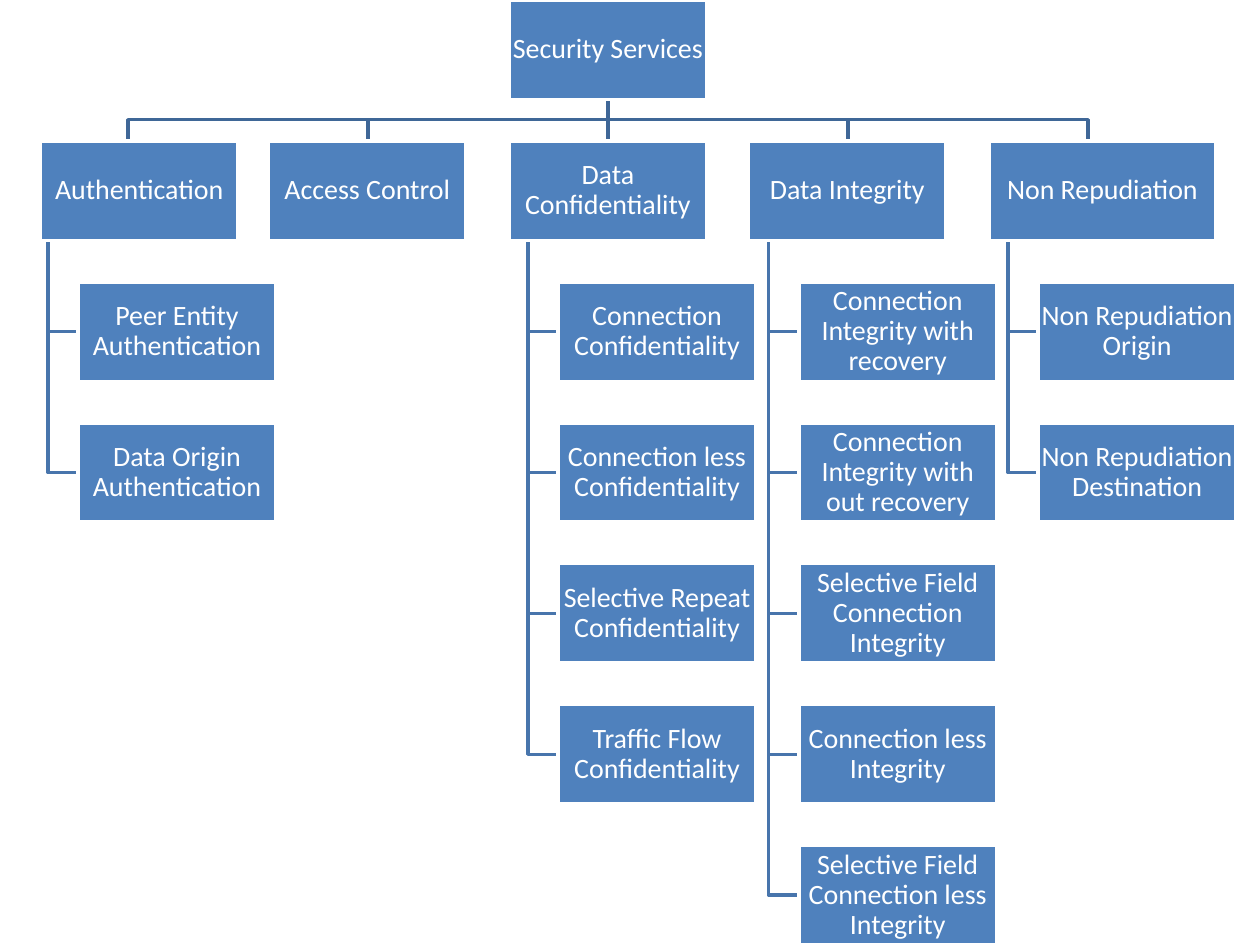
from pptx import Presentation
from pptx.dml.color import RGBColor
from pptx.enum.shapes import MSO_CONNECTOR, MSO_SHAPE
from pptx.enum.text import MSO_ANCHOR, PP_ALIGN
from pptx.oxml.ns import qn
from pptx.util import Inches, Pt
from lxml import etree

RECTANGLE = MSO_SHAPE.RECTANGLE
STRAIGHT = MSO_CONNECTOR.STRAIGHT
MIDDLE = MSO_ANCHOR.MIDDLE
CENTER = PP_ALIGN.CENTER

COLORS = {"box": "4F81BD", "text": "FFFFFF", "border": "FFFFFF",
          "service_line": "3F6797", "mechanism_line": "4875AC"}
BOX_WIDTH, BOX_HEIGHT = 1.57, 0.79
ROW_PITCH = (7.5 - BOX_HEIGHT) / 6
ROOT_LEFT = 4.04
ROOT_CENTER = ROOT_LEFT + BOX_WIDTH / 2
SERVICE_SPAN = 7.62
BUS_Y = 0.95
INDENT = 0.24

SERVICES = [
    ("Authentication", 0.32, BOX_WIDTH, 0.38,
     ["Peer Entity Authentication", "Data Origin Authentication"]),
    ("Access Control", 2.13, BOX_WIDTH, 2.29, []),
    ("Data Confidentiality", ROOT_LEFT, BOX_WIDTH, 4.19,
     ["Connection Confidentiality", "Connection less Confidentiality",
      "Selective Repeat Confidentiality", "Traffic Flow Confidentiality"]),
    ("Data Integrity", 5.94, BOX_WIDTH, 6.1,
     ["Connection Integrity with recovery",
      "Connection Integrity with out recovery",
      "Selective Field Connection Integrity",
      "Connection less Integrity",
      "Selective Field Connection less Integrity"]),
    ("Non Repudiation", 7.85, 1.8, 8.0,
     ["Non Repudiation Origin", "Non Repudiation Destination"]),
]
MIDDLE_COLUMN = len(SERVICES) // 2


def color(name):
    """Return the named palette colour."""
    return RGBColor.from_string(COLORS[name])


def style_line(line, name):
    """Give a line its palette colour and the common width."""
    line.color.rgb = color(name)
    line.width = Pt(2)


def add_branch(shapes, points, line_color):
    """Draw an open, bent branch through points given in inches."""
    start, *bends = [(Inches(x), Inches(y)) for x, y in points]
    builder = shapes.build_freeform(*start)
    builder.add_line_segments(bends, close=False)
    branch = builder.convert_to_shape()
    branch.fill.background()
    branch.shadow.inherit = False
    style_line(branch.line, line_color)


def add_stem(shapes):
    """Draw the straight line below the root box."""
    x = Inches(ROOT_CENTER)
    stem = shapes.add_connector(STRAIGHT, x, Inches(BOX_HEIGHT), x, Inches(ROW_PITCH))
    style_line(stem.line, "service_line")
    etree.SubElement(stem.element.spPr, qn("a:effectLst"))
    return stem


def add_box(shapes, label, left, row, width=BOX_WIDTH):
    """Add a labelled box in a row of the chart."""
    box = shapes.add_shape(RECTANGLE, Inches(left), Inches(row * ROW_PITCH),
                           Inches(width), Inches(BOX_HEIGHT))
    box.shadow.inherit = False
    box.fill.solid()
    box.fill.fore_color.rgb = color("box")
    style_line(box.line, "border")
    frame = box.text_frame
    frame.word_wrap = True
    frame.vertical_anchor = MIDDLE
    frame.margin_left = frame.margin_right = Inches(0.01)
    frame.margin_top = frame.margin_bottom = Inches(0.01)
    paragraph = frame.paragraphs[0]
    paragraph.alignment = CENTER
    paragraph.line_spacing = 0.9
    run = paragraph.add_run()
    run.text = label
    run.font.name = "Calibri"
    run.font.size = Pt(16)
    run.font.color.rgb = color("text")
    return box


def add_branches(shapes):
    """Draw the branches to every service and mechanism."""
    column_pitch = SERVICE_SPAN / (len(SERVICES) - 1)
    for column, (_, _, _, trunk, mechanisms) in enumerate(SERVICES):
        center = ROOT_CENTER + (column - MIDDLE_COLUMN) * column_pitch
        if column != MIDDLE_COLUMN:
            add_branch(shapes, [(ROOT_CENTER, BOX_HEIGHT), (ROOT_CENTER, BUS_Y),
                                (center, BUS_Y), (center, ROW_PITCH)], "service_line")
        for row in range(2, len(mechanisms) + 2):
            middle = row * ROW_PITCH + BOX_HEIGHT / 2
            add_branch(shapes, [(trunk, ROW_PITCH + BOX_HEIGHT), (trunk, middle),
                                (trunk + INDENT, middle)], "mechanism_line")


def main():
    """Build the security services chart and save it."""
    deck = Presentation()
    deck.slide_width, deck.slide_height = Inches(10), Inches(7.5)
    shapes = deck.slides.add_slide(deck.slide_layouts[6]).shapes
    add_branches(shapes)
    stem = add_stem(shapes)
    root = add_box(shapes, "Security Services", ROOT_LEFT, 0)
    service_boxes = []
    for service, left, width, trunk, mechanisms in SERVICES:
        service_boxes.append(add_box(shapes, service, left, 1, width))
        for row, mechanism in enumerate(mechanisms, start=2):
            add_box(shapes, mechanism, trunk + INDENT, row)
    stem.begin_connect(root, 2)
    stem.end_connect(service_boxes[MIDDLE_COLUMN], 0)
    deck.save("out.pptx")


if __name__ == "__main__":
    main()
